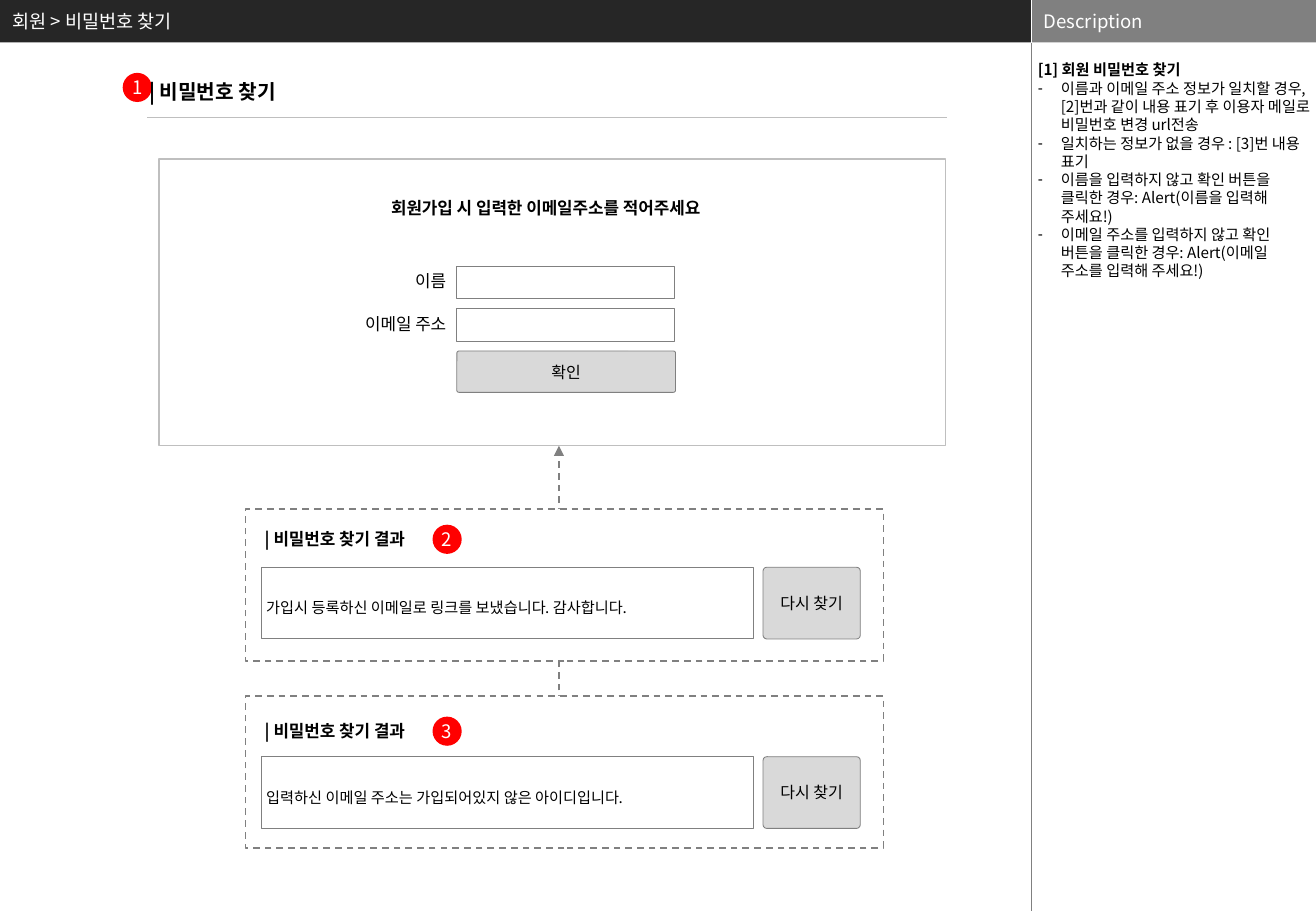
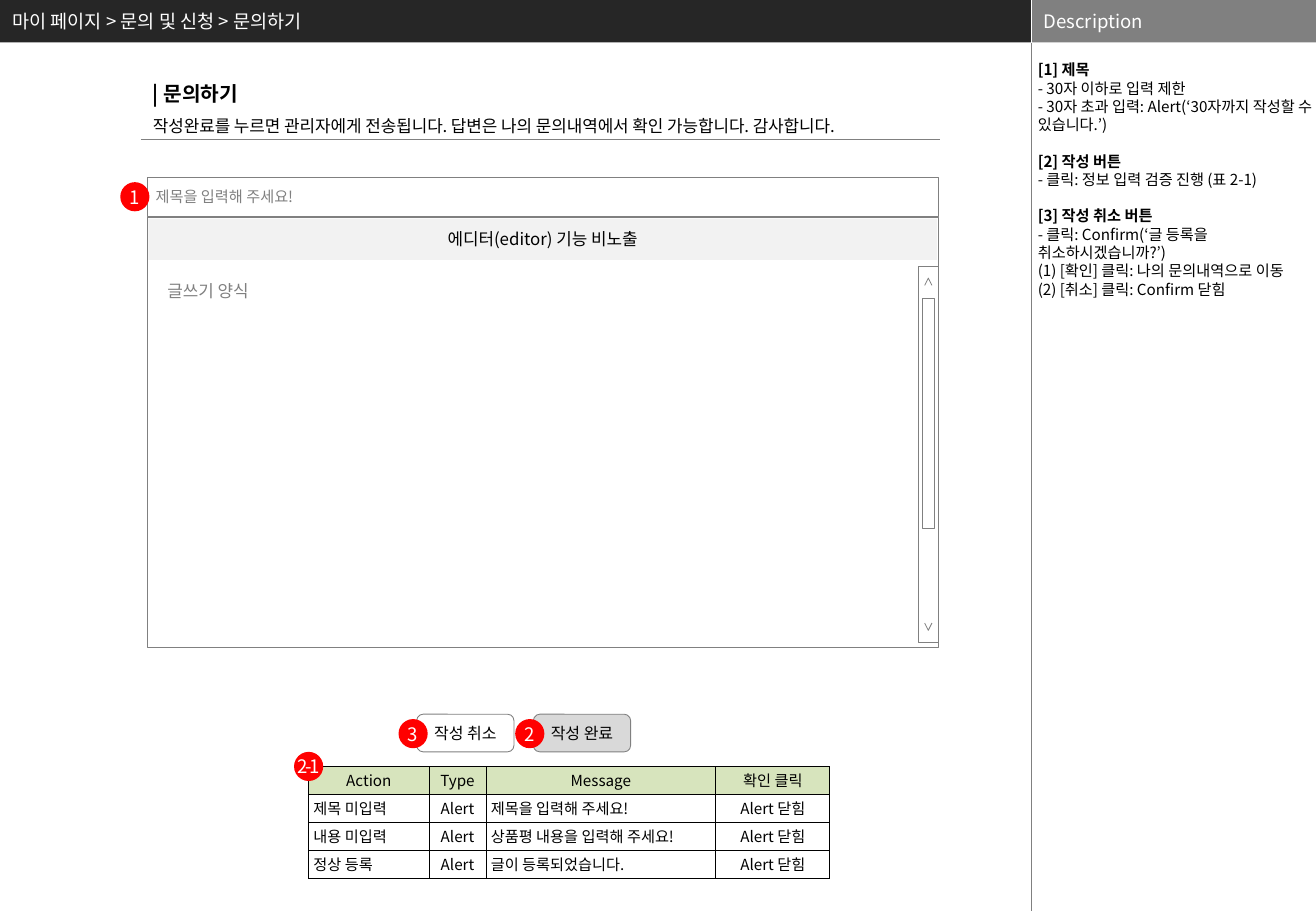
from lxml import etree
from pptx import Presentation
from pptx.dml.color import RGBColor
from pptx.enum.dml import MSO_LINE
from pptx.enum.shapes import MSO_CONNECTOR, MSO_SHAPE
from pptx.enum.text import MSO_ANCHOR, MSO_AUTO_SIZE, PP_ALIGN
from pptx.oxml.ns import qn
from pptx.util import Inches, Pt

FONT = "Noto Sans CJK KR"
COLORS = {
    "black": "000000", "white": "FFFFFF", "band": "262626", "gray": "808080",
    "rule": "BFBFBF", "button": "D9D9D9", "toolbar": "F2F2F2",
    "badge": "FF0000", "header": "D7E4BD",
}
LEFT, CENTER, RIGHT = PP_ALIGN.LEFT, PP_ALIGN.CENTER, PP_ALIGN.RIGHT
MIDDLE, TOP = MSO_ANCHOR.MIDDLE, MSO_ANCHOR.TOP
RECT, ROUND, OVAL = MSO_SHAPE.RECTANGLE, MSO_SHAPE.ROUNDED_RECTANGLE, MSO_SHAPE.OVAL
DASH = MSO_LINE.DASH
STRAIGHT = MSO_CONNECTOR.STRAIGHT
SLIDE_W, SLIDE_H = 10.83, 7.5
MAIN_W, BAND_H = 8.49, 0.35
SIDE_W = SLIDE_W - MAIN_W


def rgb(name):
    return RGBColor.from_string(COLORS[name])


def write(frame, text, size=9, color="black", bold=False, align=LEFT,
          line_spacing=1.0, before=0, bullet=None, tracking=0):
    """Add one formatted paragraph, filling the empty first one if there is one."""
    first = frame.paragraphs[0]
    paragraph = frame.add_paragraph() if first.runs else first
    props = paragraph._p.get_or_add_pPr()
    hang = Inches(0.19) if bullet else 0
    props.set("marL", str(hang))
    props.set("indent", str(-hang))
    if bullet:
        etree.SubElement(props, qn("a:buChar")).set("char", bullet)
    else:
        etree.SubElement(props, qn("a:buNone"))
    paragraph.alignment = align
    paragraph.line_spacing = line_spacing
    paragraph.space_before = Pt(before)
    run = paragraph.add_run()
    run.text = text
    run.font.size, run.font.bold, run.font.name = Pt(size), bold, FONT
    run.font.color.rgb = rgb(color)
    run_props = run._r.get_or_add_rPr()
    etree.SubElement(run_props, qn("a:ea")).set("typeface", FONT)
    if tracking:
        run_props.set("spc", str(int(tracking * 100)))


def set_frame(frame, insets=(0.1, 0.05, 0.1, 0.05), anchor=TOP, wrap=True):
    (frame.margin_left, frame.margin_top,
     frame.margin_right, frame.margin_bottom) = map(Inches, insets)
    frame.vertical_anchor = anchor
    frame.word_wrap = wrap
    frame.auto_size = MSO_AUTO_SIZE.NONE


def place(shape, left, top, width, height):
    shape.left, shape.top = Inches(left), Inches(top)
    shape.width, shape.height = Inches(width), Inches(height)


def paint(shape, fill=None, line=None, weight=0.5, dash=None):
    shape.shadow.inherit = False
    if fill:
        shape.fill.solid()
        shape.fill.fore_color.rgb = rgb(fill)
    else:
        shape.fill.background()
    if line:
        shape.line.color.rgb = rgb(line)
        shape.line.width = Pt(weight)
        if dash:
            shape.line.dash_style = dash
    else:
        shape.line.fill.background()


def add_box(slide, left, top, width, height, text=None, kind=RECT, insets=(0.04,) * 4,
            wrap=True, fill=None, line=None, weight=0.5, dash=None, **text_format):
    box = slide.shapes.add_shape(kind, Inches(left), Inches(top), Inches(width), Inches(height))
    paint(box, fill, line, weight, dash)
    if text:
        set_frame(box.text_frame, insets, MIDDLE, wrap)
        write(box.text_frame, text, **text_format)
    return box


def add_label(slide, left, top, width, height, text, wrap=False, **text_format):
    label = slide.shapes.add_textbox(Inches(left), Inches(top), Inches(width), Inches(height))
    set_frame(label.text_frame, wrap=wrap)
    write(label.text_frame, text, **text_format)
    return label


def add_line(slide, x1, y1, x2, y2, color, weight, dash=None, arrow=False):
    line = slide.shapes.add_connector(STRAIGHT, Inches(x1), Inches(y1), Inches(x2), Inches(y2))
    line.line.color.rgb = rgb(color)
    line.line.width = Pt(weight)
    if dash:
        line.line.dash_style = dash
    if arrow:
        etree.SubElement(line.line._get_or_add_ln(), qn("a:tailEnd")).set("type", "triangle")
    etree.SubElement(line._element.spPr, qn("a:effectLst"))


def add_badge(slide, left, top, number):
    add_box(slide, left, top, 0.24, 0.24, number, kind=OVAL, insets=(0,) * 4, wrap=False,
            fill="badge", size=11, color="white", align=CENTER,
            tracking=-1.5 if len(number) > 1 else 0)


def add_button(slide, left, top, width, height, text, fill="button", corner=0.052):
    button = add_box(slide, left, top, width, height, text, kind=ROUND, insets=(0.05,) * 4,
                     fill=fill, line="gray", size=9.5, align=CENTER)
    button.adjustments[0] = corner


def add_page(deck, breadcrumb, notes):
    """Slide with the breadcrumb band and the description column."""
    slide = deck.slides.add_slide(deck.slide_layouts[1])
    title, body = slide.shapes.title, slide.placeholders[1]

    # Breadcrumb and description bands
    place(title, 0, 0, MAIN_W, BAND_H)
    title.fill.solid()
    title.fill.fore_color.rgb = rgb("band")
    set_frame(title.text_frame, anchor=MIDDLE)
    write(title.text_frame, breadcrumb, size=11, color="white")
    add_box(slide, MAIN_W, 0, SIDE_W, BAND_H, "Description", insets=(0.1, 0.05, 0.1, 0.05),
            fill="gray", size=11, color="white")
    add_line(slide, MAIN_W, 0, MAIN_W, BAND_H, "white", 0.25)
    add_line(slide, MAIN_W, BAND_H, MAIN_W, SLIDE_H, "gray", 0.25)

    # Description column
    place(body, MAIN_W + 0.01, 0.5, SIDE_W, SLIDE_H - 0.5)
    set_frame(body.text_frame, (0.04, 0, 0.04, 0))
    for index, (heading, lines, bullet) in enumerate(notes):
        write(body.text_frame, heading, bold=True, before=10.8 if index else 0)
        for line in lines:
            write(body.text_frame, line, bullet=bullet)
    return slide


def add_search_form(slide, left, top):
    add_box(slide, left, top, 6.47, 2.36, line="rule", weight=0.75)
    add_label(slide, left + 1.81, top + 0.27, 3.06, 0.27,
              "회원가입 시 입력한 이메일주소를 적어주세요", size=10, bold=True)
    field_left = left + 2.45
    for row_top, name, width in ((0.87, "이름", 0.48), (1.22, "이메일 주소", 0.95)):
        add_label(slide, field_left + 0.01 - width, top + row_top, width, 0.27, name,
                  size=10, align=RIGHT)
        add_box(slide, field_left, top + row_top + 0.01, 1.79, 0.27, line="gray")
    add_button(slide, field_left, top + 1.58, 1.8, 0.34, "확인")


def add_result(slide, left, top, number, message, heading_gap, row_gap):
    add_box(slide, left, top, 5.25, 1.25, fill="white", line="gray", weight=1, dash=DASH)
    add_label(slide, left + 0.06, top + heading_gap, 1.51, 0.27, "| 비밀번호 찾기 결과",
              size=10, bold=True)
    add_badge(slide, left + 1.54, top + heading_gap + 0.02, number)
    add_box(slide, left + 0.13, top + row_gap, 4.05, 0.59, message,
            fill="white", line="gray", line_spacing=1.5)
    add_button(slide, left + 4.26, top + row_gap, 0.8, 0.59, "다시 찾기")


def add_scrollbar(slide, left, top):
    add_box(slide, left, top, 0.16, 3.1, fill="white", line="gray")
    add_box(slide, left + 0.03, top + 0.27, 0.1, 1.89, fill="white", line="gray")
    for base, tip in ((0.16, 0.1), (2.94, 3.0)):
        points = [(Inches(left + x), Inches(top + y))
                  for x, y in ((0.05, base), (0.08, tip), (0.11, base))]
        outline = slide.shapes.build_freeform(*points[0], scale=1.0)
        outline.add_line_segments(points[1:], close=False)
        paint(outline.convert_to_shape(), "white", "gray")


def add_editor(slide, left, top):
    add_box(slide, left, top, 6.51, 0.32, "제목을 입력해 주세요!", wrap=False,
            insets=(0.07, 0.04, 0.04, 0.04), line="gray", color="gray")
    add_box(slide, left, top + 0.33, 6.51, 3.54, line="gray")
    add_box(slide, left + 0.01, top + 0.34, 6.49, 0.34, "에디터(editor) 기능 비노출",
            wrap=False, fill="toolbar", size=10, align=CENTER)
    add_label(slide, left + 0.07, top + 0.8, 2.48, 0.27, "글쓰기 양식", wrap=True,
              size=10, color="gray")
    add_scrollbar(slide, left + 6.35, top + 0.73)
    add_badge(slide, left - 0.22, top + 0.04, "1")


def format_cell(cell, text, fill, align):
    cell.margin_left = cell.margin_right = Inches(0.04)
    cell.margin_top = cell.margin_bottom = 0
    cell.vertical_anchor = MIDDLE
    write(cell.text_frame, text, align=align)
    props = cell._tc.get_or_add_tcPr()
    for side in ("lnL", "lnR", "lnT", "lnB"):
        border = etree.SubElement(props, qn("a:" + side), w=str(Pt(0.5)))
        ink = etree.SubElement(border, qn("a:solidFill"))
        etree.SubElement(ink, qn("a:srgbClr")).set("val", COLORS["black"])
    cell.fill.solid()
    cell.fill.fore_color.rgb = rgb(fill)


def add_alert_table(slide, left, top, rows):
    widths, row_height = (0.99, 0.47, 1.89, 0.94), 0.23
    table = slide.shapes.add_table(len(rows), len(widths), Inches(left), Inches(top),
                                   Inches(sum(widths)), Inches(row_height * len(rows))).table
    table.first_row = table.horz_banding = False
    for column, width in zip(table.columns, widths):
        column.width = Inches(width)
    for r, row in enumerate(rows):
        table.rows[r].height = Inches(row_height)
        for c, text in enumerate(row):
            align = LEFT if r and c in (0, 2) else CENTER
            format_cell(table.cell(r, c), text, "white" if r else "header", align)
    add_badge(slide, left - 0.12, top - 0.12, "2-1")


def build_password_page(deck):
    slide = add_page(deck, "회원 > 비밀번호 찾기", [
        ("[1] 회원 비밀번호 찾기", [
            "이름과 이메일 주소 정보가 일치할 경우, [2]번과 같이 내용 표기 후 이용자 메일로 비밀번호 변경 url전송",
            "일치하는 정보가 없을 경우 : [3]번 내용 표기",
            "이름을 입력하지 않고 확인 버튼을 클릭한 경우: Alert(이름을 입력해 주세요!)",
            "이메일 주소를 입력하지 않고 확인 버튼을 클릭한 경우: Alert(이메일 주소를 입력해 주세요!)",
        ], "-"),
    ])
    # Heading
    add_badge(slide, 1.01, 0.6, "1")
    add_label(slide, 1.13, 0.6, 2.76, 0.3, "| 비밀번호 찾기", wrap=True, size=12, bold=True)
    add_line(slide, 1.21, 0.97, 7.79, 0.97, "rule", 0.75)
    # Form and the two results that lead back to it
    add_search_form(slide, 1.31, 1.31)
    add_line(slide, 4.6, 6.07, 4.6, 3.67, "gray", 1, DASH, arrow=True)
    add_result(slide, 2.02, 4.19, "2",
               "가입시 등록하신 이메일로 링크를 보냈습니다. 감사합니다.", 0.11, 0.48)
    add_result(slide, 2.02, 5.73, "3",
               "입력하신 이메일 주소는 가입되어있지 않은 아이디입니다.", 0.15, 0.5)


def build_inquiry_page(deck):
    slide = add_page(deck, "마이 페이지 > 문의 및 신청 > 문의하기", [
        ("[1] 제목", ["- 30자 이하로 입력 제한",
                    "- 30자 초과 입력: Alert(‘30자까지 작성할 수 있습니다.’)"], None),
        ("[2] 작성 버튼", ["- 클릭: 정보 입력 검증 진행 (표 2-1)"], None),
        ("[3] 작성 취소 버튼", ["- 클릭: Confirm(‘글 등록을 취소하시겠습니까?’)",
                           "(1) [확인] 클릭: 나의 문의내역으로 이동",
                           "(2) [취소] 클릭: Confirm 닫힘"], None),
    ])
    # Heading
    heading = add_label(slide, 1.16, 0.52, 6.5, 0.66, "| 문의하기", wrap=True,
                        size=12, bold=True, line_spacing=1.5)
    write(heading.text_frame,
          "작성완료를 누르면 관리자에게 전송됩니다. 답변은 나의 문의내역에서 확인 가능합니다. 감사합니다.",
          size=10, line_spacing=1.5)
    add_line(slide, 1.16, 1.15, 7.74, 1.15, "gray", 0.75)
    # Editor and its buttons
    add_editor(slide, 1.21, 1.46)
    for left, text, fill, number in ((3.43, "작성 취소", None, "3"),
                                     (4.39, "작성 완료", "button", "2")):
        add_button(slide, left, 5.88, 0.8, 0.31, text, fill, corner=0.17)
        add_badge(slide, left - 0.15, 5.92, number)
    # Alert messages
    add_alert_table(slide, 2.54, 6.31, [
        ("Action", "Type", "Message", "확인 클릭"),
        ("제목 미입력", "Alert", "제목을 입력해 주세요!", "Alert 닫힘"),
        ("내용 미입력", "Alert", "상품평 내용을 입력해 주세요!", "Alert 닫힘"),
        ("정상 등록", "Alert", "글이 등록되었습니다.", "Alert 닫힘"),
    ])


def main():
    deck = Presentation()
    deck.slide_width, deck.slide_height = Inches(SLIDE_W), Inches(SLIDE_H)
    build_password_page(deck)
    build_inquiry_page(deck)
    deck.save("out.pptx")


if __name__ == "__main__":
    main()
